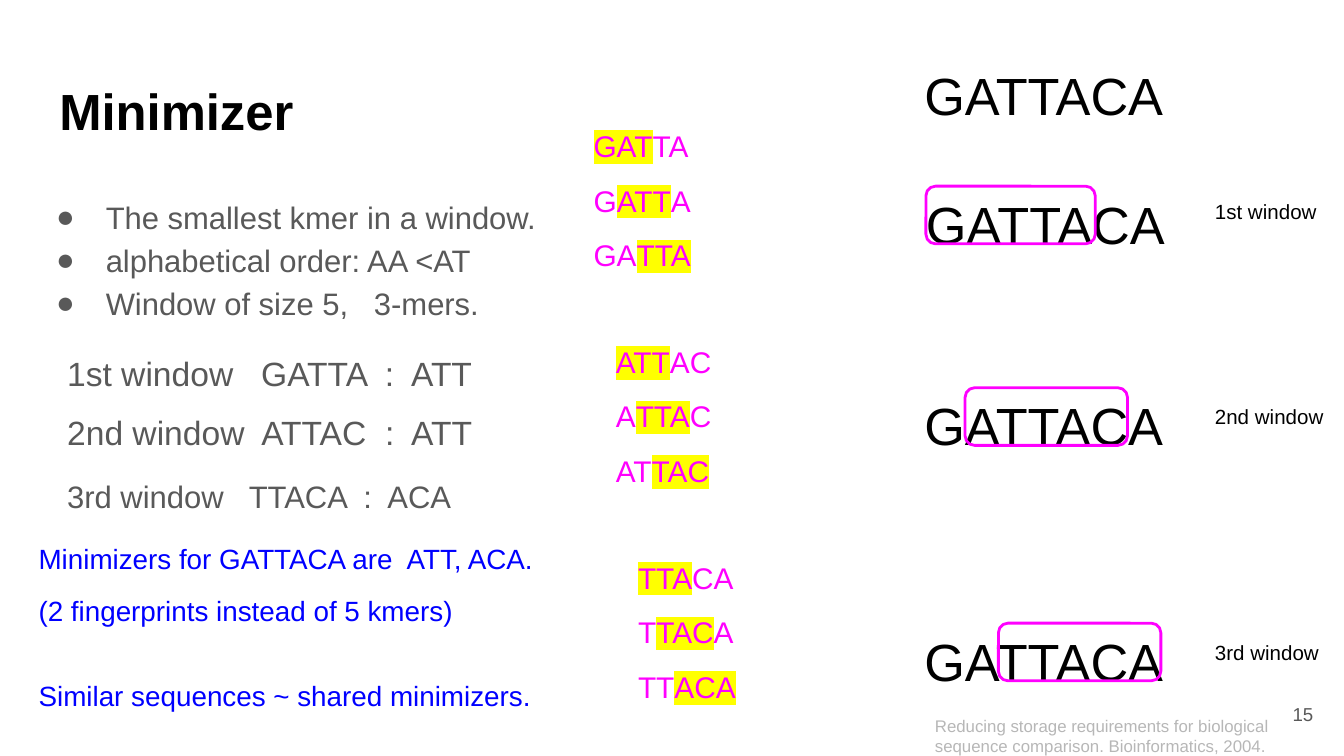
from dataclasses import dataclass

from lxml.etree import SubElement as Sub
from pptx import Presentation
from pptx.dml.color import RGBColor as Rgb
from pptx.enum.shapes import MSO_SHAPE as Shape
from pptx.enum.text import MSO_ANCHOR as Anchor, MSO_AUTO_SIZE as AutoSize, PP_ALIGN as Align
from pptx.oxml.ns import qn
from pptx.util import Cm, Pt


@dataclass(frozen=True)
class Theme:
    font: str = "Arial"
    black: str = "000000"
    grey: str = "595959"
    pale: str = "B7B7B7"
    blue: str = "0000FF"
    magenta: str = "FF00FF"
    yellow: str = "FFFF00"
    title: float = 27.2
    sequence: float = 28
    example: float = 18
    body: float = 16.6
    kmer: float = 16
    summary: float = 14.9
    label: float = 11
    number: float = 10
    citation: float = 9


THEME = Theme()
SEQUENCE = "GATTACA"
WINDOW_SIZE = 5
KMER_SIZE = 3


def write(para, text, *, size, color, bold=False, highlight=None):
    span = para.add_run()
    span.text = text
    span.font.size = Pt(size)
    span.font.bold = bold
    span.font.color.rgb = Rgb.from_string(color)
    if highlight:
        mark = Sub(span.font._element, qn("a:highlight"))
        Sub(mark, qn("a:srgbClr"), val=highlight)
    span.font.name = THEME.font


def add_bullet(para, color):
    props = para._p.get_or_add_pPr()
    props.set("marL", str(Cm(1.27)))
    props.set("indent", str(-Cm(0.94)))
    Sub(Sub(props, qn("a:buClr")), qn("a:srgbClr"), val=color)
    Sub(props, qn("a:buFont"), typeface=THEME.font)
    Sub(props, qn("a:buChar"), char="●")


class SlideBuilder:
    def __init__(self, deck, theme):
        self.theme = theme
        self.page = deck.slides.add_slide(deck.slide_layouts[5])

    def prepare(self, box, anchor=Anchor.TOP):
        frame = box.text_frame
        frame.word_wrap = True
        frame.auto_size = AutoSize.NONE
        frame.vertical_anchor = anchor
        frame.margin_left = frame.margin_right = Cm(0.25)
        frame.margin_top = frame.margin_bottom = Cm(0.25)
        return frame

    def title(self, text, left, top, width, height):
        box = self.page.shapes.title
        box.left, box.top, box.width, box.height = map(Cm, (left, top, width, height))
        para = self.prepare(box).paragraphs[0]
        para.alignment = Align.LEFT
        write(para, text, size=self.theme.title, color=self.theme.black, bold=True)

    def text(self, lines, left, top, width, height, *, size, color, spacing=1.0,
             gaps=(), bullets=False, align=Align.LEFT, anchor=Anchor.TOP, home=None):
        shapes = (home or self.page).shapes
        box = shapes.add_textbox(*map(Cm, (left, top, width, height)))
        frame = self.prepare(box, anchor)
        for index, line in enumerate(lines):
            para = frame.paragraphs[0] if index == 0 else frame.add_paragraph()
            if bullets:
                add_bullet(para, color)
            para.alignment = align
            para.line_spacing = spacing
            if index and gaps:
                para.space_before = Pt(gaps[index - 1])
            spans = [(line, None)] if isinstance(line, str) else line
            for part, highlight in spans:
                if part:
                    write(para, part, size=size, color=color, highlight=highlight)

    def kmers(self, window, left, top):
        lines = []
        for start in range(WINDOW_SIZE - KMER_SIZE + 1):
            end = start + KMER_SIZE
            lines.append([(window[:start], None),
                          (window[start:end], self.theme.yellow),
                          (window[end:], None)])
        self.text(lines, left, top, 2.84, 3.2, size=self.theme.kmer,
                  color=self.theme.magenta, spacing=0.9, gaps=(12, 12))

    def sequence(self, left, top, home=None):
        self.text([SEQUENCE], left, top, 5.49, 1.7, size=self.theme.sequence,
                  color=self.theme.black, spacing=1.15, home=home)

    def frame(self, left, top, width, height, home):
        box = home.shapes.add_shape(Shape.ROUNDED_RECTANGLE,
                                    *map(Cm, (left, top, width, height)))
        box.shadow.inherit = False
        box.fill.background()
        box.line.color.rgb = Rgb.from_string(self.theme.magenta)
        box.line.width = Pt(1.5)

    def window(self, label, left, top, frame_left, frame_width, label_drop, label_width):
        group = self.page.shapes.add_group_shape()
        self.sequence(left, top, group)
        self.frame(frame_left, top + 0.32, frame_width, 1.09, group)
        self.text([label], 22.71, top + label_drop, label_width, 1,
                  size=self.theme.label, color=self.theme.black, home=group)


def main():
    deck = Presentation()
    deck.slide_width, deck.slide_height = Cm(25.4), Cm(14.29)
    slide = SlideBuilder(deck, THEME)

    slide.title("Minimizer", 0.87, 1.25, 10.08, 1.6)
    slide.text(["The smallest kmer in a window.",
                "alphabetical order: AA <AT",
                "Window of size 5,   3-mers."],
               0.48, 3.4, 10.08, 3.2, size=THEME.body, color=THEME.grey,
               spacing=1.15, bullets=True)

    examples = [
        ("1st window   GATTA  :  ATT", 6.43, THEME.example, 1.0),
        ("2nd window  ATTAC  :  ATT", 7.54, THEME.example, 1.0),
        ("3rd window   TTACA  :  ACA", 8.92, THEME.body, 0.8),
    ]
    for text, top, size, spacing in examples:
        slide.text([text], 1.02, top, 10.08, 1.27, size=size,
                   color=THEME.grey, spacing=spacing)

    slide.text(["Minimizers for GATTACA are  ATT, ACA.",
                "(2 fingerprints instead of 5 kmers)",
                "Similar sequences ~ shared minimizers."],
               0.48, 10.06, 10.08, 3.99, size=THEME.summary, color=THEME.blue,
               spacing=0.9, gaps=(12, 29))

    for start in range(len(SEQUENCE) - WINDOW_SIZE + 1):
        slide.kmers(SEQUENCE[start:start + WINDOW_SIZE],
                    10.97 + 0.42 * start, 2.24 + 4.08 * start)

    slide.sequence(17.22, 0.76)
    windows = [
        ("1st window", 17.25, 3.2, 17.5, 3.2, 0.31, 2.44),
        ("2nd window", 17.22, 7.01, 18.24, 3.07, 0.38, 2.84),
        ("3rd window", 17.22, 11.46, 18.87, 3.07, 0.38, 2.84),
    ]
    for window in windows:
        slide.window(*window)

    slide.text(["15"], 23.55, 12.95, 1.52, 1.09, size=THEME.number,
               color=THEME.grey, align=Align.RIGHT, anchor=Anchor.MIDDLE)
    slide.text(["Reducing storage requirements for biological sequence comparison. "
                "Bioinformatics, 2004."],
               17.42, 13.28, 7.04, 1.27, size=THEME.citation, color=THEME.pale)

    deck.save("out.pptx")


if __name__ == "__main__":
    main()
